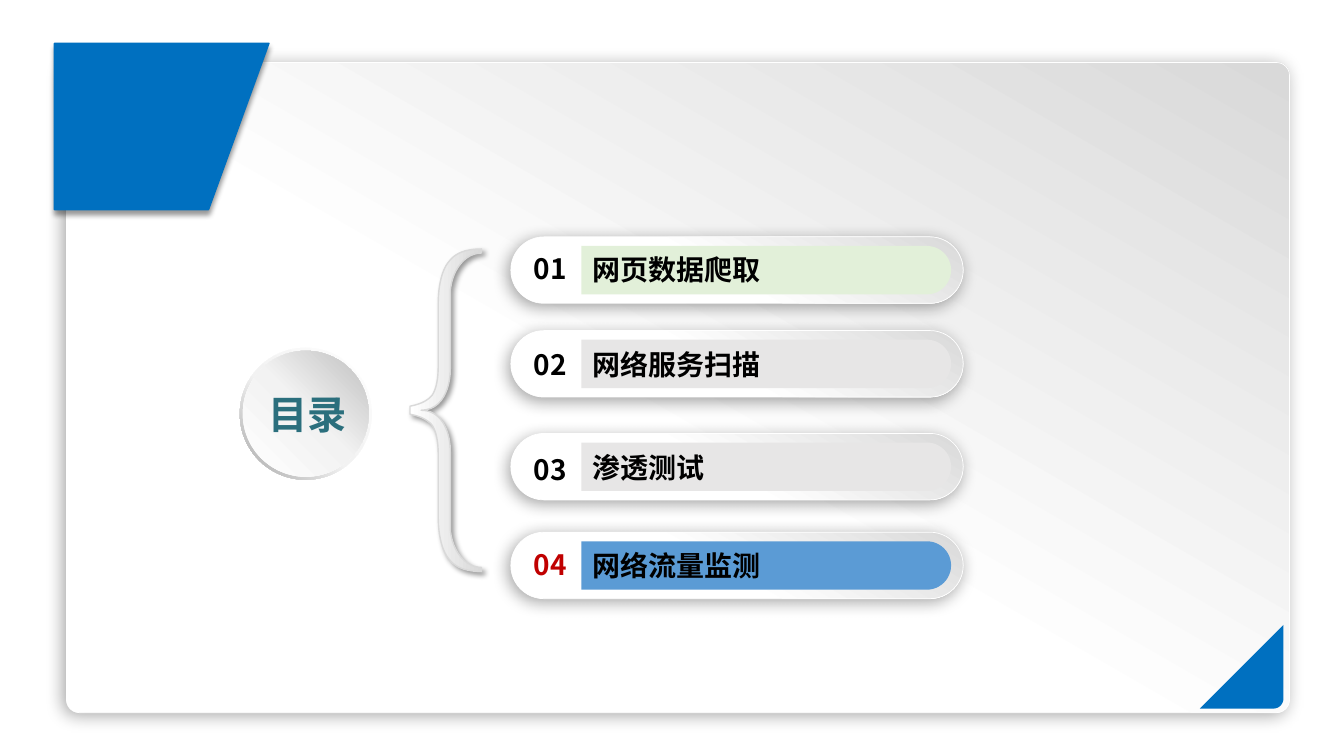
from lxml import etree
from pptx import Presentation
from pptx.dml.color import RGBColor
from pptx.enum import shapes, text
from pptx.oxml import ns
from pptx.util import Inches, Pt

FONT = "Noto Sans CJK SC"
BLUE = "0070C0"
PALE = [(45, "FFFFFF"), (100, "D9D9D9")]
SOFT_SHADOW = (34, 12, 3, 135)
KIND = shapes.MSO_SHAPE


def style(shape, fill, angle=0, line=None, shadow=None):
    """Fill with one hex colour or a list of gradient stops; line is (colour, points)."""
    if isinstance(fill, str):
        shape.fill.solid()
        shape.fill.fore_color.rgb = RGBColor.from_string(fill)
    else:
        shape.fill.gradient()
        gradient = shape._element.spPr.find(ns.qn("a:gradFill"))
        gradient.find(ns.qn("a:lin")).set("ang", str(angle * 60000))
        stops = gradient.find(ns.qn("a:gsLst"))
        for stop in list(stops):
            stops.remove(stop)
        for position, colour in fill:
            stop = etree.SubElement(stops, ns.qn("a:gs"), pos=str(position * 1000))
            etree.SubElement(stop, ns.qn("a:srgbClr"), val=colour)
    if line:
        shape.line.color.rgb = RGBColor.from_string(line[0])
        shape.line.width = Pt(line[1])
    else:
        shape.line.fill.background()
    shape.shadow.inherit = False
    if shadow:
        alpha, blur, distance, direction = shadow
        effects = shape._element.spPr.find(ns.qn("a:effectLst"))
        outer = etree.SubElement(
            effects, ns.qn("a:outerShdw"), blurRad=str(Pt(blur)), dist=str(Pt(distance)),
            dir=str(direction * 60000), algn="ctr", rotWithShape="0")
        colour = etree.SubElement(outer, ns.qn("a:srgbClr"), val="000000")
        etree.SubElement(colour, ns.qn("a:alpha"), val=str(alpha * 1000))


def write(left, top, width, height, words, size, colour):
    """Add a text box holding one bold run."""
    box = page.shapes.add_textbox(Inches(left), Inches(top), Inches(width), Inches(height))
    box.text_frame.word_wrap = False
    box.text_frame.auto_size = text.MSO_AUTO_SIZE.SHAPE_TO_FIT_TEXT
    span = box.text_frame.paragraphs[0].add_run()
    span.text = words
    span.font.size = Pt(size)
    span.font.bold = True
    span.font.name = FONT
    span.font.color.rgb = RGBColor.from_string(colour)
    etree.SubElement(span.font._element, ns.qn("a:ea"), typeface=FONT)
    return box


deck = Presentation()
deck.slide_width, deck.slide_height = Inches(13.34), Inches(7.5)
page = deck.slides.add_slide(deck.slide_layouts[6])

# Large panel
panel = page.shapes.add_shape(
    KIND.ROUNDED_RECTANGLE, Inches(0.66), Inches(0.62), Inches(12.14), Inches(6.45))
panel.adjustments[0] = 0.02
style(panel, PALE, 300, ("FFFFFF", 0.5), SOFT_SHADOW)

# Outlines: a pair is a corner, six numbers are a Bezier curve
corner = [(12.74, 6.2), (12.74, 6.93), (12.74, 6.98, 12.7, 7.03, 12.64, 7.03), (11.91, 7.03)]
flag = [(2.67, 0.43), (0.54, 0.43), (0.54, 2.08), (2.07, 2.08)]
brace_half = [
    (4.18, 4.07), (4.39, 4.07, 4.47, 3.85, 4.47, 3.66), (4.47, 2.88),
    (4.49, 2.67, 4.62, 2.51, 4.78, 2.51), (4.78, 2.47),
    (4.63, 2.47, 4.52, 2.51, 4.46, 2.59), (4.39, 2.67, 4.35, 2.82, 4.35, 3.02),
    (4.35, 3.63), (4.35, 3.76, 4.33, 3.86, 4.29, 3.92),
    (4.25, 3.97, 4.18, 4.01, 4.07, 4.03)]
BRACE_MIDDLE = 4.07

outlines = [
    (corner, False, dict(fill=BLUE)),
    (flag, False, dict(fill=BLUE, line=(BLUE, 1), shadow=(40, 4, 3, 90))),
    (brace_half, True, dict(fill=[(0, "FFFFFF"), (100, "D9D9D9")],
                            line=("D9D9D9", 1), shadow=(40, 4, 3, 45)))]
for outline, mirrored, look in outlines:
    points = []
    for part in outline:
        if len(part) == 2:
            points.append(part)
            continue
        x0, y0 = points[-1]
        x1, y1, x2, y2, x3, y3 = part
        for step in range(1, 13):
            t = step / 12
            a, b, c, d = (1 - t) ** 3, 3 * t * (1 - t) ** 2, 3 * t * t * (1 - t), t ** 3
            points.append((a * x0 + b * x1 + c * x2 + d * x3,
                           a * y0 + b * y1 + c * y2 + d * y3))
    if mirrored:
        points += [(x, 2 * BRACE_MIDDLE - y) for x, y in reversed(points)]
    # Vertices are rounded to whole units, so they are given in EMU
    points = [(Inches(x), Inches(y)) for x, y in points]
    builder = page.shapes.build_freeform(*points[0])
    builder.add_line_segments(points[1:], close=True)
    style(builder.convert_to_shape(), **look)

# Title disc
ring = page.shapes.add_shape(KIND.DONUT, Inches(2.38), Inches(3.45), Inches(1.31), Inches(1.31))
ring.adjustments[0] = 0.049
style(ring, [(0, "FFFFFF"), (55, "F2F2F2"), (100, "A6A6A6")], 135)
disc = page.shapes.add_shape(KIND.OVAL, Inches(2.41), Inches(3.48), Inches(1.25), Inches(1.25))
style(disc, [(0, "FFFFFF"), (51, "F2F2F2"), (100, "BFBFBF")], 315)
title = write(2.36, 3.87, 1.38, 0.47, "目录", 28, "2B6F7D")
frame = title.text_frame
frame.word_wrap = True
frame.margin_left = frame.margin_top = frame.margin_right = frame.margin_bottom = 0
frame.paragraphs[0].alignment = text.PP_ALIGN.CENTER

# Contents: pill top, number, number top, number colour, label, label top, label width, bar colour
rows = [
    (2.35, "01", 2.45, "000000", "网页数据爬取", 2.46, 1.88, "E2F0D9"),
    (3.28, "02", 3.4, "000000", "网络服务扫描", 3.4, 1.88, "E7E6E6"),
    (4.3, "03", 4.44, "000000", "渗透测试", 4.42, 1.32, "E7E6E6"),
    (5.28, "04", 5.38, "C00000", "网络流量监测", 5.39, 1.88, "5B9BD5")]
BAR_LEFT, BAR_LENGTH, BAR_DEPTH = 5.77, 3.67, 0.48
for top, number, number_top, number_colour, label, label_top, label_width, bar_colour in rows:
    pill = page.shapes.add_shape(
        KIND.ROUNDED_RECTANGLE, Inches(5.07), Inches(top), Inches(4.49), Inches(0.66))
    pill.adjustments[0] = 0.5
    style(pill, PALE, 300, ("FFFFFF", 0.5), SOFT_SHADOW)
    # The bar stands upright and is turned so that its round end faces right
    shift = (BAR_LENGTH - BAR_DEPTH) / 2
    bar = page.shapes.add_shape(
        KIND.ROUND_2_SAME_RECTANGLE, Inches(BAR_LEFT + shift), Inches(top + 0.09 - shift),
        Inches(BAR_DEPTH), Inches(BAR_LENGTH))
    bar.adjustments[0] = 0.5
    bar.rotation = 90
    style(bar, bar_colour)
    write(5.2, number_top, 0.55, 0.44, number, 20, number_colour)
    write(5.78, label_top, label_width, 0.44, label, 20, "000000")

deck.save("out.pptx")
